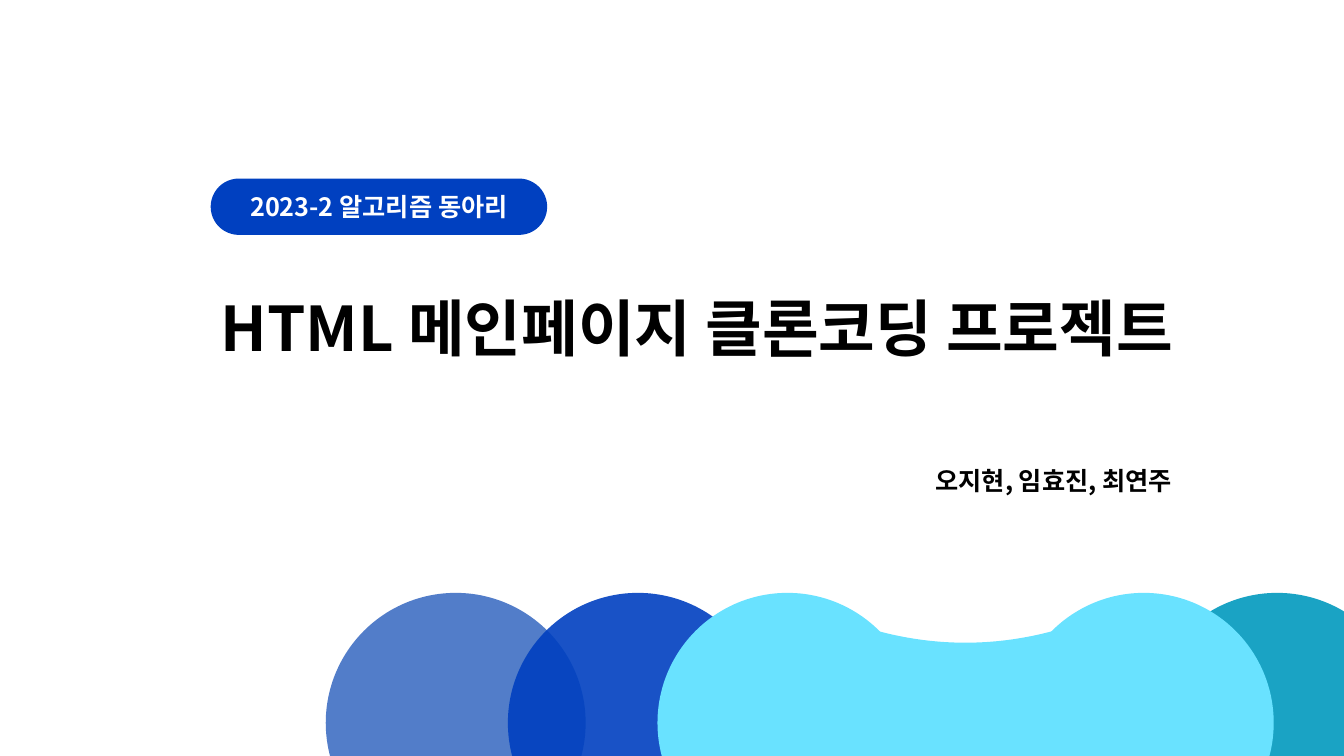
from dataclasses import dataclass

from lxml import etree
from pptx import Presentation
from pptx.dml.color import RGBColor
from pptx.enum.shapes import MSO_SHAPE
from pptx.enum.text import MSO_ANCHOR, MSO_AUTO_SIZE, PP_ALIGN
from pptx.oxml.ns import qn
from pptx.util import Cm, Pt

OVAL, MOON, PILL = MSO_SHAPE.OVAL, MSO_SHAPE.MOON, MSO_SHAPE.ROUNDED_RECTANGLE
LEFT, CENTER = PP_ALIGN.LEFT, PP_ALIGN.CENTER
TOP, MIDDLE = MSO_ANCHOR.TOP, MSO_ANCHOR.MIDDLE


@dataclass(frozen=True)
class Theme:
    font: str = "Noto Sans CJK KR"
    title_size: int = 44
    label_size: int = 18
    black: str = "000000"
    white: str = "FFFFFF"
    blue: str = "0040C0"
    soft_blue: str = "406FC4"
    teal: str = "029ABE"
    cyan: str = "69E2FF"


theme = Theme()


def add_filled(shapes, kind, box, color, opacity=100):
    """Add a preset shape without line or shadow; box is in centimetres."""
    shape = shapes.add_shape(kind, *(Cm(length) for length in box))
    shape.shadow.inherit = False
    shape.line.fill.background()
    shape.fill.solid()
    shape.fill.fore_color.rgb = RGBColor.from_string(color)
    if opacity < 100:
        srgb = shape.fill._xPr.find(".//" + qn("a:srgbClr"))
        etree.SubElement(srgb, qn("a:alpha"), val=str(opacity * 1000))
    return shape


def write(shape, text, size, color, align, anchor):
    frame = shape.text_frame
    frame.text = text
    frame.word_wrap = True
    frame.auto_size = MSO_AUTO_SIZE.NONE
    frame.vertical_anchor = anchor
    line = frame.paragraphs[0]
    line.alignment = align
    line.space_before = Pt(0)
    line.font.name = theme.font
    line.font.size = Pt(size)
    line.font.bold = True
    line.font.color.rgb = RGBColor.from_string(color)
    etree.SubElement(line.font._element, qn("a:ea"), typeface=theme.font)


prs = Presentation()
prs.slide_width, prs.slide_height = Cm(33.87), Cm(19.05)
slide = prs.slides.add_slide(prs.slide_layouts[0])

# Row of circles along the bottom edge
bubbles = slide.shapes.add_group_shape()
DIAMETER, BUBBLE_TOP = 6.55, 14.94
for left, color, opacity in (
    (8.21, theme.soft_blue, 90),
    (12.8, theme.blue, 90),
    (28.91, theme.teal, 90),
    (16.57, theme.cyan, 100),
    (25.55, theme.cyan, 100),
):
    add_filled(bubbles.shapes, OVAL, (left, BUBBLE_TOP, DIAMETER, DIAMETER), color, opacity)

bridge = add_filled(bubbles.shapes, MOON, (20.09, 15.21, 8.48, 8.33), theme.cyan)
bridge.adjustments[0] = 0.875
bridge.rotation = 270

# Club label, title and members
club = add_filled(slide.shapes, PILL, (5.31, 4.5, 8.48, 1.42), theme.blue)
club.adjustments[0] = 0.5
write(club, "2023-2 알고리즘 동아리", theme.label_size, theme.white, CENTER, MIDDLE)

title, members = slide.placeholders
for holder, box, text, size in (
    (title, (5.31, 7.19, 24.54, 2.13), "HTML 메인페이지 클론코딩 프로젝트", theme.title_size),
    (members, (23.32, 11.61, 6.53, 1.02), "오지현, 임효진, 최연주", theme.label_size),
):
    holder.left, holder.top, holder.width, holder.height = (Cm(length) for length in box)
    write(holder, text, size, theme.black, LEFT, TOP)

prs.save("out.pptx")
